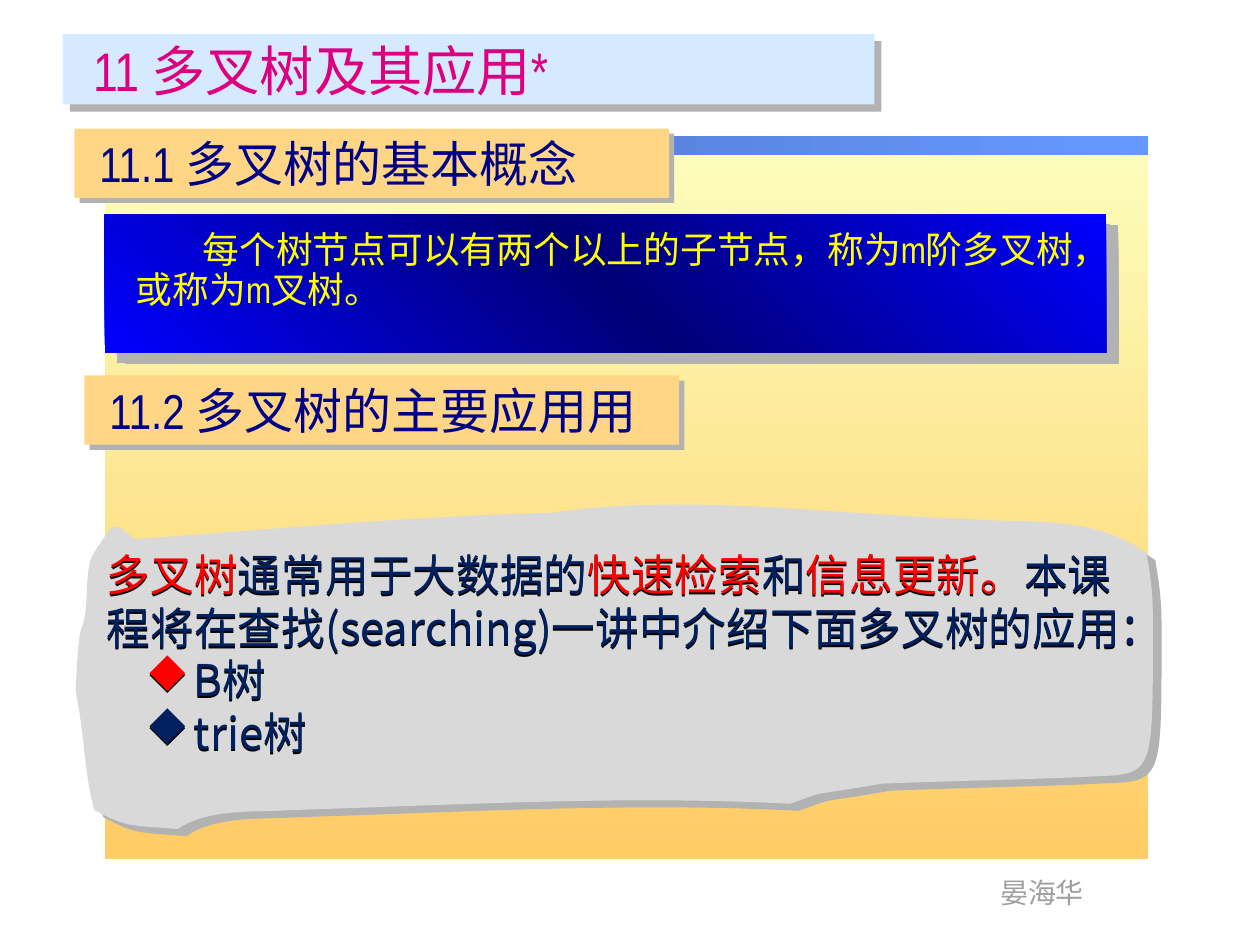
from lxml import etree
from pptx import Presentation
from pptx.dml.color import RGBColor
from pptx.enum.shapes import MSO_SHAPE
from pptx.enum.text import MSO_ANCHOR
from pptx.oxml import parse_xml
from pptx.oxml.ns import nsdecls, qn
from pptx.util import Inches, Pt

RECT = MSO_SHAPE.RECTANGLE
TOP = MSO_ANCHOR.TOP
NARROW, SANS = "Arial Narrow", "Noto Sans CJK SC"
RED, NAVY, SHADE = "FF0000", "002060", "B2B2B2"

# Blob outline: a start point, then cubic curves (two handles and an end)
START = (0.85, 4.23)
CURVES = [
    (0.87, 4.21, 0.89, 4.17, 0.92, 4.18),
    (0.97, 4.19, 1.07, 4.28, 1.07, 4.28),
    (2.19, 4.2, 3.24, 4.1, 4.39, 4.07),
    (5.47, 3.91, 6.64, 4.09, 7.71, 4.12),
    (8.16, 4.16, 8.66, 4.08, 9.1, 4.39),
    (9.13, 4.57, 9.15, 4.69, 9.15, 4.91),
    (9.15, 6.27, 9.17, 6.13, 8.54, 6.17),
    (8.03, 6.19, 7.51, 6.2, 7, 6.22),
    (6.37, 6.33, 6.61, 6.26, 6.27, 6.38),
    (4.95, 6.31, 3.63, 6.39, 2.31, 6.43),
    (2.06, 6.45, 1.66, 6.41, 1.41, 6.58),
    (1.04, 6.55, 1.01, 6.57, 0.75, 6.43),
    (0.69, 6.22, 0.68, 6.03, 0.65, 5.8),
    (0.64, 5.69, 0.6, 5.48, 0.6, 5.48),
    (0.61, 5.35, 0.61, 5.2, 0.63, 5.07),
    (0.63, 5.01, 0.66, 4.97, 0.67, 4.91),
    (0.7, 4.76, 0.68, 4.57, 0.72, 4.44),
    (0.76, 4.35, 0.81, 4.3, 0.85, 4.23),
]


def color(code):
    return RGBColor.from_string(code)


def cast(shape, code, dist, deg):
    """Give the shape a hard shadow."""
    shape.shadow.inherit = False
    props = shape._element.spPr
    props.replace(props.find(qn("a:effectLst")), parse_xml(
        f'<a:effectLst {nsdecls("a")}><a:outerShdw blurRad="0" '
        f'dist="{Pt(dist)}" dir="{deg * 60000}" algn="ctr" rotWithShape="0">'
        f'<a:srgbClr val="{code}"/></a:outerShdw></a:effectLst>'))


def paint(shape, fill, shadow=None):
    """Fill with a hex colour, or with (angle, first, ..., last) as gradient."""
    shape.shadow.inherit = False
    shape.line.fill.background()
    if isinstance(fill, str):
        shape.fill.solid()
        shape.fill.fore_color.rgb = color(fill)
    else:
        angle, *codes = fill
        step = 100000 // (len(codes) - 1)
        stops = "".join(f'<a:gs pos="{i * step}"><a:srgbClr val="{c}"/></a:gs>'
                        for i, c in enumerate(codes))
        shape.fill.background()
        props = shape._element.spPr
        props.replace(props.find(qn("a:noFill")), parse_xml(
            f'<a:gradFill {nsdecls("a")} rotWithShape="1"><a:gsLst>{stops}'
            f'</a:gsLst><a:lin ang="{angle * 60000}" scaled="0"/></a:gradFill>'))
    if shadow:
        cast(shape, SHADE, *shadow)


def add_box(slide, at, fill, shadow=None):
    shape = slide.shapes.add_shape(RECT, *map(Inches, at))
    paint(shape, fill, shadow)


def add_blob(slide, fill, shadow):
    """Draw the outline, then turn each three line points into one curve."""
    points = [(Inches(c[i]), Inches(c[i + 1])) for c in CURVES for i in (0, 2, 4)]
    pen = slide.shapes.build_freeform(*map(Inches, START))
    pen.add_line_segments(points, close=True)
    shape = pen.convert_to_shape()
    lines = list(shape._element.iter(qn("a:lnTo")))
    for i in range(0, len(CURVES) * 3, 3):
        curve = etree.Element(qn("a:cubicBezTo"))
        lines[i].addprevious(curve)
        for line in lines[i:i + 3]:
            curve.append(line[0])
            line.getparent().remove(line)
    paint(shape, fill, shadow)


def add_text(slide, at, wrap=True):
    box = slide.shapes.add_textbox(*map(Inches, at))
    box.text_frame.word_wrap = wrap
    box.text_frame.vertical_anchor = TOP
    return box


def add_run(para, text, size, code, face):
    run = para.add_run()
    run.text = text
    run.font.size = Pt(size)
    run.font.color.rgb = color(code)
    run.font.name = face
    latin = run._r.get_or_add_rPr().find(qn("a:latin"))
    latin.addnext(etree.Element(qn("a:ea"), typeface=SANS))


def indent(para, left, first):
    props = para._p.get_or_add_pPr()
    props.set("marL", str(Inches(left)))
    props.set("indent", str(Inches(first)))


def add_mark(para, code):
    """Give the paragraph a diamond bullet."""
    indent(para, 0.69, -0.38)
    props = para._p.get_or_add_pPr()
    tint = etree.SubElement(props, qn("a:buClr"))
    etree.SubElement(tint, qn("a:srgbClr"), val=code)
    etree.SubElement(props, qn("a:buFont"), typeface="Wingdings", charset="2")
    etree.SubElement(props, qn("a:buChar"), char="u")


def add_line(slide, at, text, size, code, wrap=True, first=0):
    para = add_text(slide, at, wrap).text_frame.paragraphs[0]
    para.line_spacing = Pt(size * (1.09 if first else 1.2))
    indent(para, 0, first)
    add_run(para, text, size, code, NARROW)


def add_head(slide, left, top, text):
    add_box(slide, (left, top, 4.72, 0.55), "FFD685", (4.2, 45))
    add_line(slide, (left + 0.1, top - 0.01, 5.05, 0.57), text, 28, "000086")


def add_uses(slide):
    box = add_text(slide, (0.75, 4.3, 8.42, 2.21))
    cast(box, "000000", 1.2, 90)
    frame = box.text_frame
    intro = [
        ("多叉树", RED), ("通常用于大数据的", NAVY), ("快速检索", RED),
        ("和", NAVY), ("信息更新。", RED),
        ("本课程将在查找(searching)一讲中介绍下面多叉树的应用：", NAVY),
    ]
    rows = [(None, intro), (RED, [("B树", NAVY)]), (NAVY, [("trie树", NAVY)])]
    for i, (mark, runs) in enumerate(rows):
        para = frame.add_paragraph() if i else frame.paragraphs[0]
        para.line_spacing = Pt(30)
        if mark:
            para.level = 1
            add_mark(para, mark)
        for text, code in runs:
            add_run(para, text, 25, code, SANS)


def main():
    deck = Presentation()
    deck.slide_width, deck.slide_height = Inches(10), Inches(7.5)
    slide = deck.slides.add_slide(deck.slide_layouts[6])

    add_box(slide, (0.83, 1.1, 8.28, 5.72), (90, "FCFEBC", "FFCC66"))
    add_box(slide, (0.84, 1.08, 8.27, 0.15), (0, "496DB6", "6699FF"))
    add_line(slide, (7.84, 6.9, 0.87, 0.37), "晏海华", 16, "9F9F9F", wrap=False)

    add_box(slide, (0.5, 0.27, 6.44, 0.56), "D5EAFF", (5.7, 45))
    add_line(slide, (0.64, 0.25, 6.64, 0.62), "11 多叉树及其应用*", 31, "DC0081")

    add_head(slide, 0.59, 1.02, "11.1 多叉树的基本概念")
    add_box(slide, (0.83, 1.7, 7.95, 1.1),
            (315, "0000FF", "000076", "0000FF"), (9.2, 41))
    add_line(slide, (0.98, 1.78, 7.64, 0.74),
             "每个树节点可以有两个以上的子节点，称为m阶多叉树，或称为m叉树。",
             21, "FFFF00", first=0.53)

    add_head(slide, 0.67, 2.98, "11.2 多叉树的主要应用用")
    add_blob(slide, "D9D9D9", (6.4, 39))
    add_uses(slide)
    deck.save("out.pptx")


if __name__ == "__main__":
    main()
